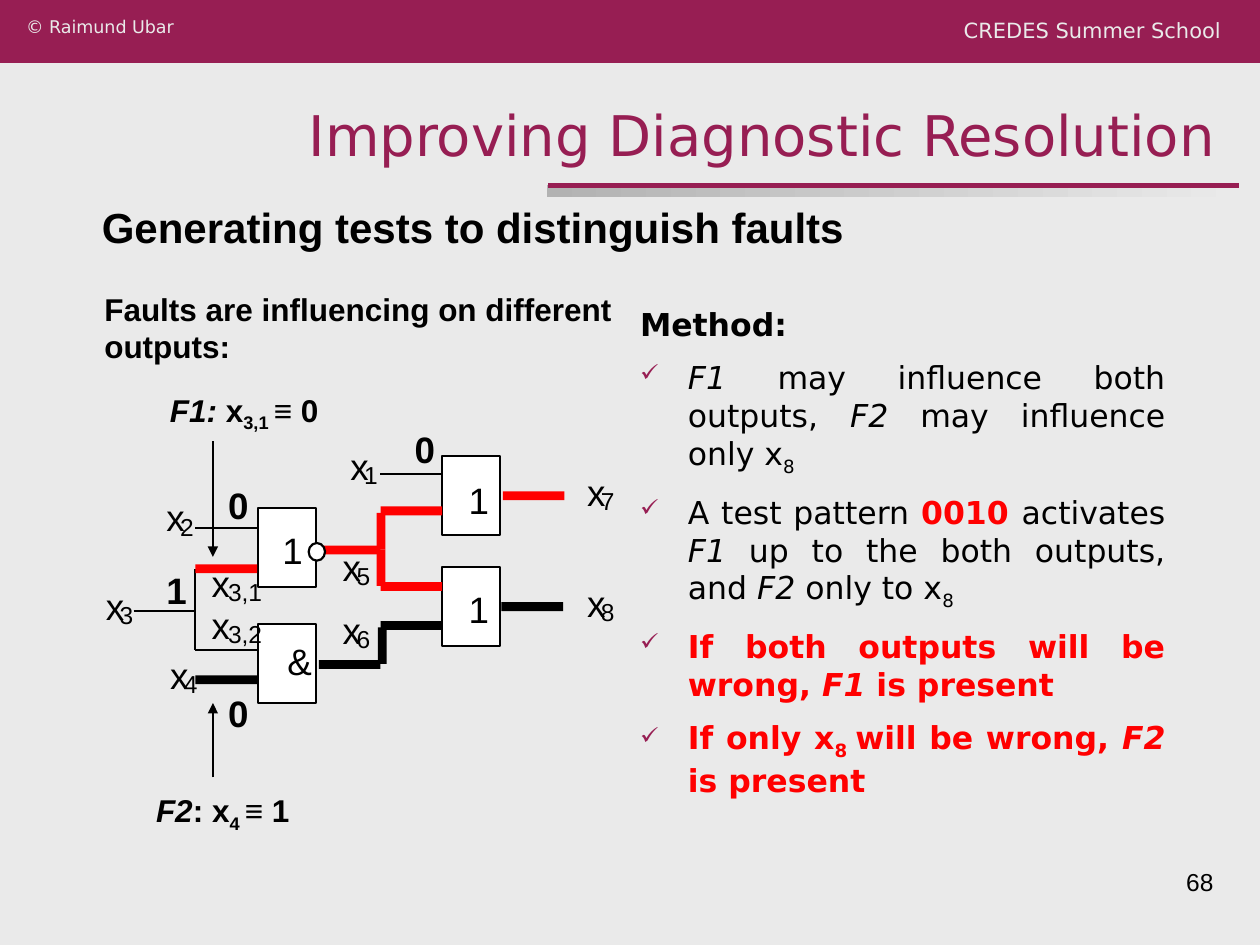
from dataclasses import dataclass

from lxml import etree
from pptx import Presentation
from pptx.dml.color import RGBColor
from pptx.enum.shapes import MSO_CONNECTOR, MSO_SHAPE
from pptx.enum.text import MSO_ANCHOR, MSO_AUTO_SIZE, PP_ALIGN
from pptx.oxml.ns import qn
from pptx.util import Inches, Pt

RECTANGLE, OVAL = MSO_SHAPE.RECTANGLE, MSO_SHAPE.OVAL
STRAIGHT = MSO_CONNECTOR.STRAIGHT
TOP, MIDDLE, BOTTOM = MSO_ANCHOR.TOP, MSO_ANCHOR.MIDDLE, MSO_ANCHOR.BOTTOM
LEFT, RIGHT, JUSTIFY = PP_ALIGN.LEFT, PP_ALIGN.RIGHT, PP_ALIGN.JUSTIFY
FIT_SHAPE = MSO_AUTO_SIZE.SHAPE_TO_FIT_TEXT


@dataclass(frozen=True)
class Theme:
    plum: str = "971E53"
    pale: str = "EAEAEA"
    gray: str = "B2B2B2"
    black: str = "000000"
    white: str = "FFFFFF"
    red: str = "FF0000"
    sans: str = "Arial"
    wide: str = "DejaVu Sans"
    title: float = 32
    heading: float = 24
    signal: float = 21
    body: float = 18
    small: float = 14
    header: float = 12
    copyright: float = 10


@dataclass(frozen=True)
class Box:
    left: float
    top: float
    width: float
    height: float

    def inner(self, left, top, width, height):
        return Box(self.left + left, self.top + top, width, height)

    def inches(self):
        return [Inches(v) for v in (self.left, self.top, self.width, self.height)]


THEME = Theme()


def color(value):
    return RGBColor.from_string(value)


def add_block(slide, box, fill, line=None, width=1.25, kind=RECTANGLE):
    shape = slide.shapes.add_shape(kind, *box.inches())
    shape.shadow.inherit = False
    shape.fill.solid()
    shape.fill.fore_color.rgb = color(fill)
    if line:
        shape.line.color.rgb = color(line)
        shape.line.width = Pt(width)
    else:
        shape.line.fill.background()
    return shape


def add_line(slide, box, stroke=THEME.black, width=1.25, arrow=False):
    """Draws from the box's corner by its width and height, which may be negative."""
    ends = (box.left, box.top, box.left + box.width, box.top + box.height)
    connector = slide.shapes.add_connector(STRAIGHT, *[Inches(v) for v in ends])
    connector.line.color.rgb = color(stroke)
    connector.line.width = Pt(width)
    if arrow:
        etree.SubElement(connector.line._get_or_add_ln(), qn("a:tailEnd"), type="triangle")
    etree.SubElement(connector._element.spPr, qn("a:effectLst"))


def add_runs(paragraph, runs, size, font, ink):
    """Style letters: b bold, i italic, s subscript, r red."""
    for text, style in runs:
        run = paragraph.add_run()
        run.text = text
        run.font.size = Pt(size)
        run.font.name = font
        run.font.bold = "b" in style
        run.font.italic = "i" in style
        run.font.color.rgb = color(THEME.red if "r" in style else ink)
        if "s" in style:
            run.font._element.set("baseline", "-25000")


def add_text(slide, box, paragraphs, size, font=THEME.sans, ink=THEME.black,
             align=LEFT, anchor=TOP, inset=(0.1, 0.05), wrap=True):
    shape = slide.shapes.add_textbox(*box.inches())
    frame = shape.text_frame
    frame.word_wrap = wrap
    frame.vertical_anchor = anchor
    if not wrap:
        frame.auto_size = FIT_SHAPE
    frame.margin_left = frame.margin_right = Inches(inset[0])
    frame.margin_top = frame.margin_bottom = Inches(inset[1])
    for index, runs in enumerate(paragraphs):
        paragraph = frame.add_paragraph() if index else frame.paragraphs[0]
        paragraph.alignment = align
        add_runs(paragraph, runs, size, font, ink)
    return frame


def add_check_mark(paragraph):
    properties = paragraph._p.get_or_add_pPr()
    properties.set("marL", str(Inches(0.38)))
    properties.set("indent", str(-Inches(0.38)))
    bullet_color = etree.SubElement(properties, qn("a:buClr"))
    etree.SubElement(bullet_color, qn("a:srgbClr"), val=THEME.plum)
    etree.SubElement(properties, qn("a:buSzPct"), val="75000")
    etree.SubElement(properties, qn("a:buChar"), char="✓")


def add_header(slide, box):
    add_block(slide, box, THEME.plum)
    style = dict(font=THEME.wide, ink=THEME.pale)
    add_text(slide, box.inner(7.41, 0.09, 2.38, 0.32), [[("CREDES Summer School", "")]],
             THEME.header, align=RIGHT, **style)
    add_text(slide, box.inner(0.11, 0.08, 2.38, 0.32), [[("© Raimund Ubar", "")]],
             THEME.copyright, **style)


def add_title(slide, box):
    rule_shadow = add_block(slide, box.inner(4.34, 0.72, 5.51, 0.09), THEME.gray)
    rule_shadow.fill.gradient()
    rule_shadow.fill.gradient_angle = 0
    for stop, value in zip(rule_shadow.fill.gradient_stops, (THEME.gray, THEME.pale)):
        stop.color.rgb = color(value)
    add_line(slide, box.inner(4.35, 0.72, 5.48, 0), THEME.plum, 3)
    add_text(slide, box, [[("Improving Diagnostic Resolution", "")]], THEME.title,
             THEME.wide, THEME.plum, RIGHT, BOTTOM)


def add_method(slide, box):
    paragraphs = [
        [("Method:", "b")],
        [("F1", "i"), (" may influence both outputs, ", ""), ("F2", "i"),
         (" may influence only x", ""), ("8 ", "s")],
        [("A test pattern ", ""), ("0010 ", "br"), ("activates ", ""), ("F1 ", "i"),
         ("up to the both outputs, and ", ""), ("F2 ", "i"), ("only to x", ""), ("8 ", "s")],
        [("If both outputs will be wrong, ", "br"), ("F1 ", "bir"), ("is present", "br")],
        [("If only x", "br"), ("8 ", "brs"), ("will be wrong, ", "br"), ("F2 ", "bir"),
         ("is present", "br")],
    ]
    frame = add_text(slide, box, paragraphs, THEME.body, THEME.wide, align=JUSTIFY, inset=(0, 0))
    for index, paragraph in enumerate(frame.paragraphs):
        paragraph.space_after = Pt(3)
        if index:
            paragraph.space_before = Pt(6)
            add_check_mark(paragraph)


def add_gates(slide, box):
    for left, top in ((1.55, 1.03), (3.01, 0.62), (1.55, 1.95), (3.01, 1.5)):
        add_block(slide, box.inner(left, top, 0.46, 0.63), THEME.white, THEME.black)


def add_wires(slide, box):
    thin = [(2.52, 0.76, 0.49, 0), (1.05, 1.19, 0.5, 0), (1.05, 2.16, 0.5, 0),
            (1.05, 1.52, 0, 0.64), (0.56, 1.85, 0.49, 0)]
    for wire in thin:
        add_line(slide, box.inner(*wire))
    thick, across, down = 0.07, 0.49, 0.29
    active = {
        THEME.red: ([(1.05, 1.48), (2.03, 1.33), (2.52, 1.62), (2.52, 1.02), (3.49, 0.9)],
                    [(2.49, 1.36), (2.49, 1.07)]),
        THEME.black: ([(1.05, 2.36), (2.03, 2.24), (2.52, 1.93), (3.48, 1.78)],
                      [(2.5, 1.98)]),
    }
    for fill, (horizontal, vertical) in active.items():
        for left, top in horizontal:
            add_block(slide, box.inner(left, top, across, thick), fill)
        for left, top in vertical:
            add_block(slide, box.inner(left, top, thick, down), fill)
    add_block(slide, box.inner(1.95, 1.31, 0.13, 0.14), THEME.white, THEME.black, kind=OVAL)


def add_signal_labels(slide, box):
    def label(text, left, top, size=THEME.signal, style=""):
        width = len(text) * size * 0.0077
        add_text(slide, box.inner(left, top, width, size / 60), [[(text, style)]], size,
                 inset=(0, 0), wrap=False)

    for index, left, top in (("2", 0.82, 0.93), ("3", 0.34, 1.63), ("4", 0.85, 2.18),
                             ("3,1", 1.18, 1.45), ("3,2", 1.18, 1.78), ("5", 2.22, 1.32),
                             ("6", 2.22, 1.82), ("7", 4.16, 0.73), ("8", 4.16, 1.61),
                             ("1", 2.28, 0.52)):
        label("x", left, top)
        label(index, left + (0.13 if "," in index else 0.11), top + 0.13, THEME.small)
    for text, left, top in (("1", 1.74, 1.19), ("1", 3.22, 1.66), ("&", 1.78, 2.07),
                            ("1", 3.22, 0.79)):
        label(text, left, top)
    for value, left, top in (("0", 2.79, 0.39), ("0", 1.31, 0.83), ("1", 0.82, 1.51),
                             ("0", 1.31, 2.48)):
        label(value, left, top, style="b")


def add_fault_notes(slide, box):
    first = [("F1: ", "bi"), ("x", "b"), ("3,1 ", "bs"), ("≡ 0", "b")]
    second = [("F2", "bi"), (": x", "b"), ("4 ", "bs"), ("≡ 1", "b")]
    for runs, place in ((first, (0.75, 0.05, 1.43, 0.44)), (second, (0.64, 3.23, 1.31, 0.44))):
        add_text(slide, box.inner(*place), [runs], THEME.body, anchor=MIDDLE, wrap=False)
    for top, reach in ((0.5, 0.92), (3.17, -0.59)):
        add_line(slide, box.inner(1.19, top, 0, reach), width=1, arrow=True)


def add_circuit(slide, box):
    for add_part in (add_gates, add_wires, add_signal_labels, add_fault_notes):
        add_part(slide, box)


def main():
    presentation = Presentation()
    presentation.slide_width, presentation.slide_height = Inches(10), Inches(7.5)
    slide = presentation.slides.add_slide(presentation.slide_layouts[6])
    slide.background.fill.solid()
    slide.background.fill.fore_color.rgb = color(THEME.pale)
    add_header(slide, Box(0, 0, 10, 0.5))
    add_title(slide, Box(0, 0.75, 9.75, 0.63))
    add_method(slide, Box(5.08, 2.42, 4.17, 3.83))
    add_text(slide, Box(0.71, 1.55, 6.09, 0.5),
             [[("Generating tests to distinguish faults", "b")]], THEME.heading,
             anchor=MIDDLE, wrap=False)
    add_text(slide, Box(0.73, 2.25, 4.23, 0.7),
             [[("Faults are influencing on different", "b")], [("outputs:", "b")]],
             THEME.body, wrap=False)
    add_circuit(slide, Box(0.5, 3, 4.5, 3.7))
    add_text(slide, Box(7.17, 6.83, 2.56, 0.52), [[("68", "")]], THEME.small, align=RIGHT)
    presentation.save("out.pptx")


if __name__ == "__main__":
    main()
